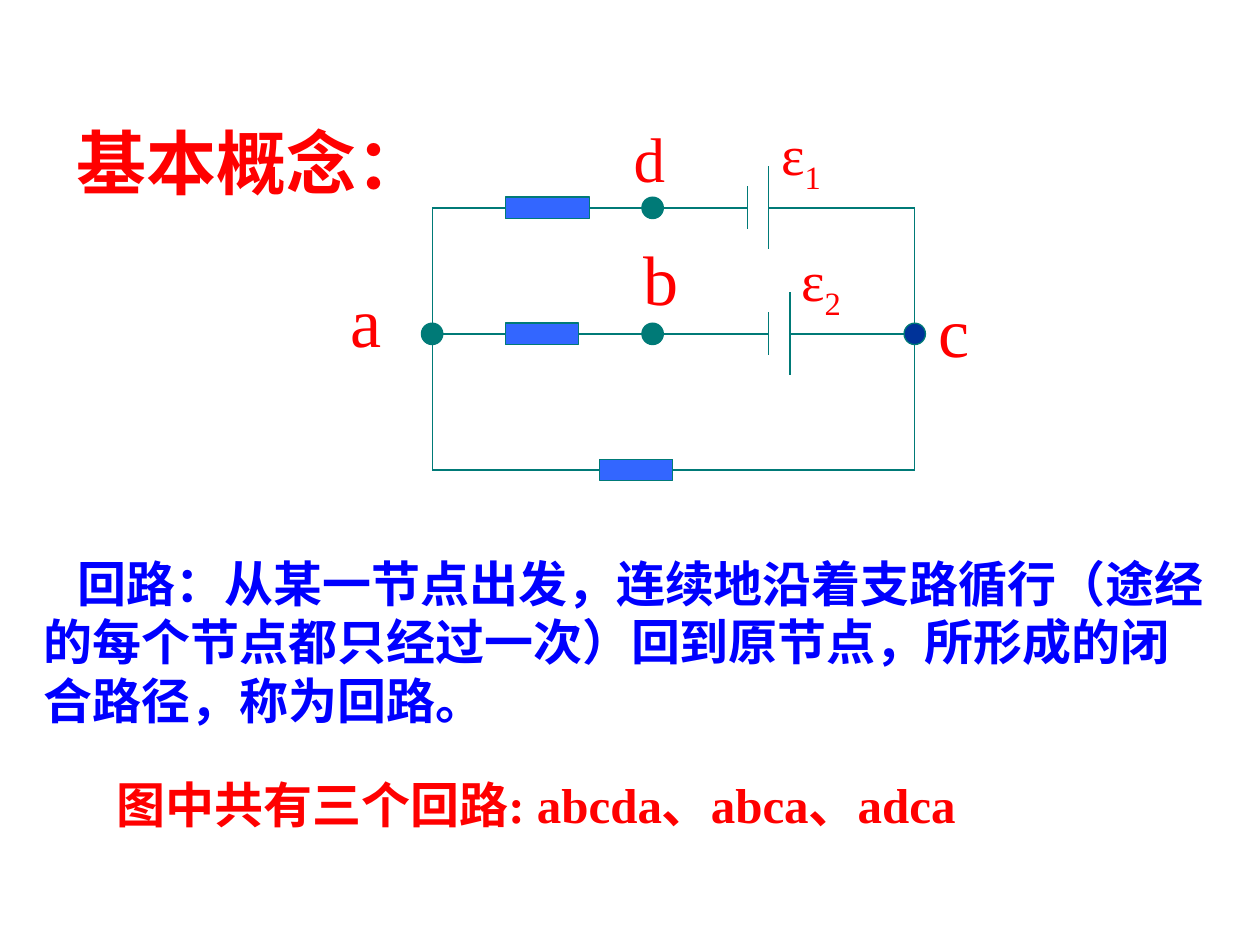
from lxml import etree
from pptx import Presentation
from pptx.dml.color import RGBColor
from pptx.enum.shapes import MSO_CONNECTOR, MSO_SHAPE
from pptx.oxml.ns import qn
from pptx.util import Inches, Pt

STRAIGHT = MSO_CONNECTOR.STRAIGHT
RECTANGLE = MSO_SHAPE.RECTANGLE
OVAL = MSO_SHAPE.OVAL
LEFT_SIDE, RIGHT_SIDE = 1, 3

RED = "FF0000"
BLUE = "0000FF"
TEAL = "007A77"
RESISTOR_BLUE = "3366FF"
NODE_BLUE = "003399"

LEFT_RAIL, RIGHT_RAIL = 3.43, 7.26
TOP, MIDDLE, BOTTOM = 1.65, 2.65, 3.73
THICKNESS = 0.17  # resistor height, node diameter and battery gap


def add_wire(x1, y1, x2, y2):
    wire = slide.shapes.add_connector(
        STRAIGHT, Inches(x1), Inches(y1), Inches(x2), Inches(y2))
    wire.line.color.rgb = RGBColor.from_string(TEAL)
    wire.line.width = Pt(0.75)
    etree.SubElement(wire._element.spPr, qn("a:effectLst"))
    return wire


def add_part(kind, center_x, center_y, width, fill):
    part = slide.shapes.add_shape(
        kind, Inches(center_x - width / 2), Inches(center_y - THICKNESS / 2),
        Inches(width), Inches(THICKNESS))
    part.shadow.inherit = False
    part.fill.solid()
    part.fill.fore_color.rgb = RGBColor.from_string(fill)
    part.line.color.rgb = RGBColor.from_string(TEAL)
    part.line.width = Pt(0.75)
    return part


presentation = Presentation()
presentation.slide_width = Inches(10)
presentation.slide_height = Inches(7.5)
slide = presentation.slides.add_slide(presentation.slide_layouts[6])

# Vertical rails shared by the three branches
for rail in (LEFT_RAIL, RIGHT_RAIL):
    add_wire(rail, TOP, rail, BOTTOM)

# Branches: height, resistor left and width, battery position
branches = [
    (TOP, 4.01, 0.67, 5.93),
    (MIDDLE, 4.01, 0.58, 6.1),
    (BOTTOM, 4.76, 0.58, None),
]
for y, resistor_left, width, battery in branches:
    resistor_right = resistor_left + width
    resistor = add_part(RECTANGLE, resistor_left + width / 2, y, width, RESISTOR_BLUE)
    wire_in = add_wire(LEFT_RAIL, y, resistor_left, y)
    wire_in.end_connect(resistor, LEFT_SIDE)
    wire_out = add_wire(resistor_right, y, battery or RIGHT_RAIL, y)
    wire_out.begin_connect(resistor, RIGHT_SIDE)
    if battery:
        long_plate = battery + THICKNESS
        add_wire(battery, y - 0.17, battery, y + 0.17)
        add_wire(long_plate, y - 0.33, long_plate, y + 0.33)
        add_wire(long_plate, y, RIGHT_RAIL, y)

nodes = [
    (LEFT_RAIL, MIDDLE, TEAL),
    (5.18, TOP, TEAL),
    (5.18, MIDDLE, TEAL),
    (RIGHT_RAIL, MIDDLE, NODE_BLUE),
]
for x, y, fill in nodes:
    add_part(OVAL, x, y, THICKNESS, fill)

# Texts: content, subscript, left, top, width, height, size, colour, bold, indent
texts = [
    ("基本概念：", "", 0.51, 0.9, 4.25, 0.77, 40, RED, True, 0),
    ("回路：从某一节点出发，连续地沿着支路循行（途经的每个节点都只经过一次）"
     "回到原节点，所形成的闭合路径，称为回路。",
     "", 0.25, 4.34, 9.42, 1.5, 28, BLUE, True, 0.27),
    ("图中共有三个回路: abcda、abca、adca", "", 0.83, 6.1, 8.17, 0.57, 28, RED, True, 0),
    ("a", "", 2.68, 2.15, 1.08, 0.77, 40, RED, False, 0),
    ("b", "", 5.01, 1.82, 1.25, 0.77, 40, RED, False, 0),
    ("c", "", 7.35, 2.23, 0.75, 0.77, 40, RED, False, 0),
    ("d", "", 4.93, 0.9, 0.92, 0.7, 36, RED, False, 0),
    ("ε", "1", 6.1, 0.9, 0.92, 0.71, 32, RED, False, 0),
    ("ε", "2", 6.26, 1.9, 0.92, 0.71, 32, RED, False, 0),
]
for content, subscript, left, top, width, height, size, color, bold, indent in texts:
    text_box = slide.shapes.add_textbox(
        Inches(left), Inches(top), Inches(width), Inches(height))
    text_frame = text_box.text_frame
    text_frame.word_wrap = True
    text_frame.text = content
    paragraph = text_frame.paragraphs[0]
    if indent:
        paragraph._p.get_or_add_pPr().set("indent", str(Inches(indent)))
    if subscript:
        run = paragraph.add_run()
        run.text = subscript
        run.font._element.set("baseline", "-25000")
    for run in paragraph.runs:
        run.font.name = "Times New Roman"
        run.font.size = Pt(size)
        run.font.bold = bold
        run.font.color.rgb = RGBColor.from_string(color)

presentation.save("out.pptx")
